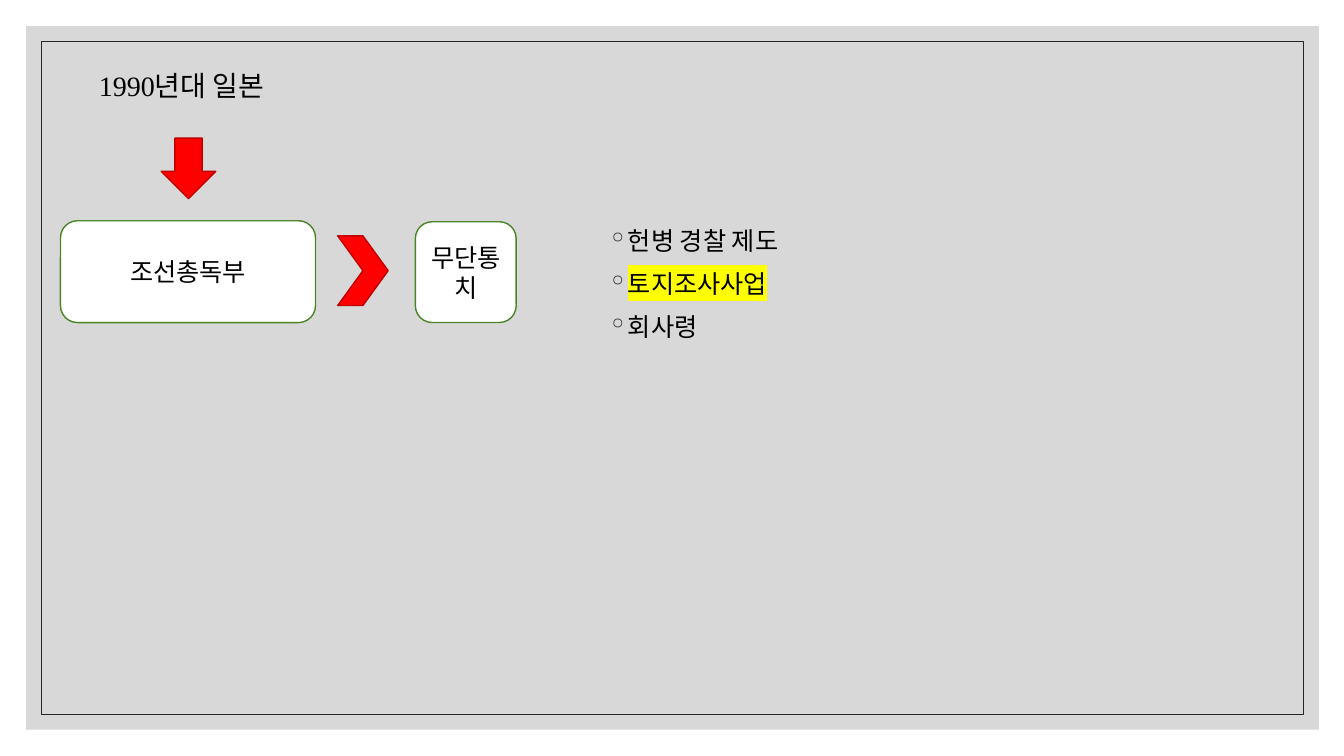
from lxml import etree
from pptx import Presentation
from pptx.dml.color import RGBColor
from pptx.enum.shapes import MSO_SHAPE
from pptx.enum.text import MSO_ANCHOR, MSO_AUTO_SIZE, PP_ALIGN
from pptx.oxml.ns import qn
from pptx.util import Inches, Pt

RECTANGLE = MSO_SHAPE.RECTANGLE
ROUNDED = MSO_SHAPE.ROUNDED_RECTANGLE
DOWN_ARROW = MSO_SHAPE.DOWN_ARROW
CHEVRON = MSO_SHAPE.CHEVRON
TOP, MIDDLE = MSO_ANCHOR.TOP, MSO_ANCHOR.MIDDLE
LEFT, CENTER = PP_ALIGN.LEFT, PP_ALIGN.CENTER
NO_AUTOFIT = MSO_AUTO_SIZE.NONE
FONT = "Times New Roman"
BLACK, DARK, WHITE = "000000", "262626", "FFFFFF"
RED, DARK_RED, GREEN = "FF0000", "C00000", "4B8426"
GREY, YELLOW = "BFBFBF", "FFFF00"
MEASURES = ["헌병 경찰 제도", "토지조사사업", "회사령"]
KEY_MEASURE = "토지조사사업"


def color(value):
    """Turn a hex string into a colour."""
    return RGBColor.from_string(value)


def add_element(parent, tag, **attributes):
    """Append a DrawingML element to a parent."""
    return etree.SubElement(parent, qn(tag), attributes)


def add_span(para, text, size):
    """Add a run in the slide's font."""
    span = para.add_run()
    span.text = text
    span.font.name = FONT
    span.font.size = Pt(size)
    span.font.color.rgb = color(BLACK)
    return span


def highlight(span, value):
    """Mark a run with a highlight colour."""
    properties = span.font._element
    mark = add_element(properties, "a:highlight")
    add_element(mark, "a:srgbClr", val=value)
    properties.find(qn("a:solidFill")).addnext(mark)


def add_bullet(para, mark):
    """Give a paragraph a hanging bullet."""
    properties = para._p.get_or_add_pPr()
    properties.set("marL", str(Inches(0.2)))
    properties.set("indent", str(Inches(-0.2)))
    bullet_color = add_element(properties, "a:buClr")
    add_element(bullet_color, "a:srgbClr", val=DARK)
    add_element(properties, "a:buChar", char=mark)


def add_box(page, kind, area, fill=None, line=None, weight=1, opacity=None):
    """Draw a preset shape with an optional fill and outline."""
    box = page.shapes.add_shape(kind, *map(Inches, area))
    box.shadow.inherit = False
    if fill:
        box.fill.solid()
        box.fill.fore_color.rgb = color(fill)
    else:
        box.fill.background()
    if opacity:
        tint = box.fill._xPr.find(qn("a:solidFill"))[0]
        add_element(tint, "a:alpha", val=str(opacity * 1000))
    if line:
        box.line.color.rgb = color(line)
        box.line.width = Pt(weight)
    else:
        box.line.fill.background()
    return box


def add_label_box(page, area, text):
    """Draw a rounded box with a centred label."""
    frame = add_box(page, ROUNDED, area, WHITE, GREEN).text_frame
    frame.word_wrap = True
    frame.vertical_anchor = MIDDLE
    para = frame.paragraphs[0]
    para.alignment = CENTER
    add_span(para, text, 18)


def set_title(page, area, text):
    """Place and fill the title placeholder."""
    title = page.shapes.title
    title.left, title.top, title.width, title.height = map(Inches, area)
    frame = title.text_frame
    frame.auto_size = NO_AUTOFIT
    frame.word_wrap = True
    frame.vertical_anchor = TOP
    para = frame.paragraphs[0]
    para.alignment = LEFT
    para._p.get_or_add_pPr().set("marL", str(Inches(0.28)))
    add_span(para, text, 20)


def add_list(page, area, items):
    """Add a bulleted list with the key item highlighted."""
    frame = page.shapes.add_textbox(*map(Inches, area)).text_frame
    frame.word_wrap = True
    for index, item in enumerate(items):
        para = frame.add_paragraph() if index else frame.paragraphs[0]
        para.space_before = Pt(9)
        add_bullet(para, "◦")
        span = add_span(para, item, 18)
        if item == KEY_MEASURE:
            highlight(span, YELLOW)


def main():
    """Build the slide and save the deck."""
    deck = Presentation()
    deck.slide_width, deck.slide_height = Inches(13.33), Inches(7.5)
    page = deck.slides.add_slide(deck.slide_layouts[5])
    add_box(page, RECTANGLE, (0.26, 0.26, 12.82, 6.98), GREY, opacity=60)
    add_box(page, RECTANGLE, (0.41, 0.41, 12.52, 6.68), line=DARK, weight=0.5)
    set_title(page, (0.6, 0.63, 2.53, 0.82), "1990년대 일본")
    add_label_box(page, (0.6, 2.19, 2.53, 1.01), "조선총독부")
    add_box(page, DOWN_ARROW, (1.6, 1.37, 0.54, 0.6), RED, DARK_RED)
    add_label_box(page, (4.12, 2.2, 1, 1), "무단통치")
    add_box(page, CHEVRON, (3.35, 2.34, 0.5, 0.69), RED, DARK_RED)
    add_list(page, (5.93, 2.19, 6.23, 4.32), MEASURES)
    page.shapes._spTree.append(page.shapes.title._element)
    deck.save("out.pptx")


if __name__ == "__main__":
    main()
